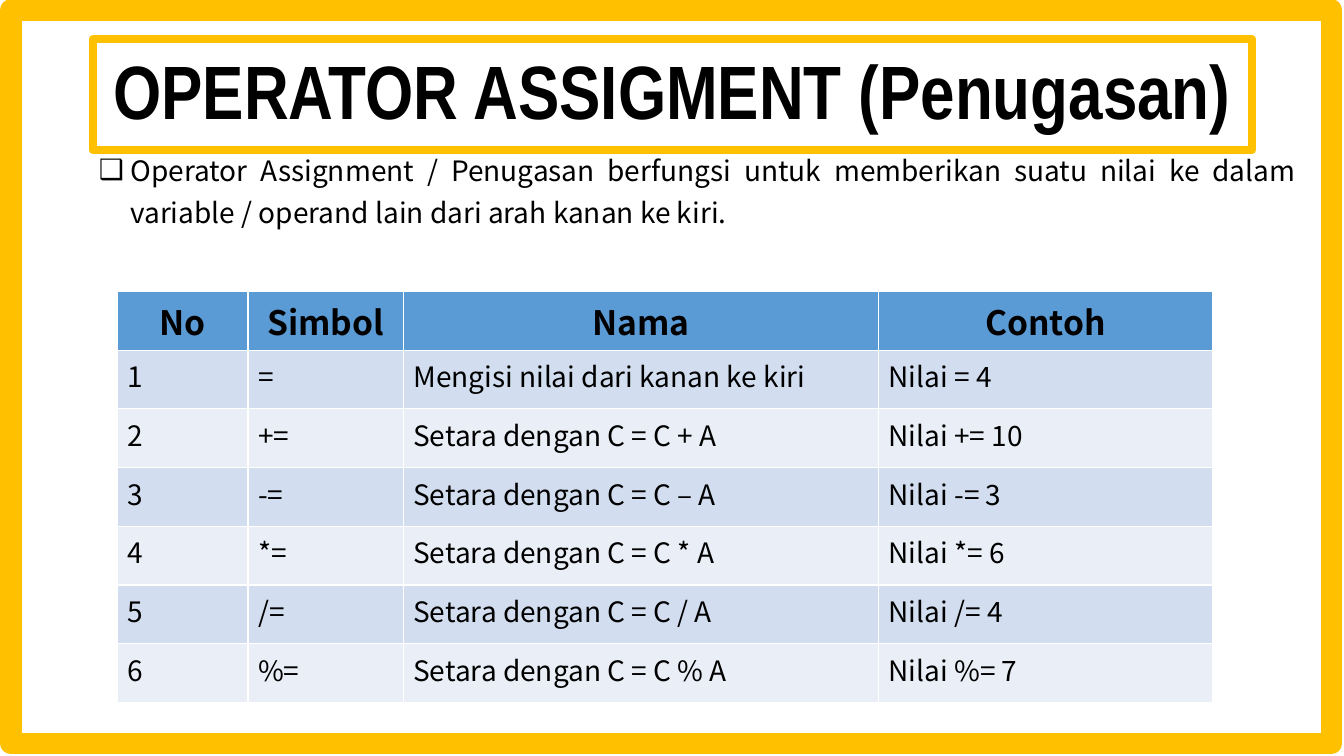
from lxml import etree
from pptx import Presentation
from pptx.dml.color import RGBColor
from pptx.enum.shapes import MSO_SHAPE
from pptx.enum.text import MSO_ANCHOR, MSO_AUTO_SIZE, PP_ALIGN
from pptx.oxml.ns import qn
from pptx.util import Cm, Pt

RECT = MSO_SHAPE.RECTANGLE
MIDDLE = MSO_ANCHOR.MIDDLE
NO_FIT = MSO_AUTO_SIZE.NONE
LEFT, CENTER, JUSTIFY = PP_ALIGN.LEFT, PP_ALIGN.CENTER, PP_ALIGN.JUSTIFY

TITLE_FONT = "Arial Narrow"
BODY_FONT = "Noto Sans CJK JP"
BLACK, GOLD, BLUE = "000000", "FFC000", "5B9BD5"
BANDS = ["D2DEEF", "EAEFF7"]

COLUMN_WIDTHS = [3.3, 3.91, 11.98, 8.42]
ROW_HEIGHT = 1.48
HEADINGS = ["No", "Simbol", "Nama", "Contoh"]
OPERATORS = [
    ("=", "Mengisi nilai dari kanan ke kiri", 4),
    ("+=", "Setara dengan C = C + A", 10),
    ("-=", "Setara dengan C = C – A", 3),
    ("*=", "Setara dengan C = C * A", 6),
    ("/=", "Setara dengan C = C / A", 4),
    ("%=", "Setara dengan C = C % A", 7),
]


def rgb(value):
    return RGBColor.from_string(value)


def place(sp, left, top, width, height):
    sp.left, sp.top = Cm(left), Cm(top)
    sp.width, sp.height = Cm(width), Cm(height)


def add_run(p, text, size, font=BODY_FONT, bold=False):
    r = p.add_run()
    r.text = text
    r.font.name = font
    r.font.size = Pt(size)
    r.font.bold = bold
    r.font.color.rgb = rgb(BLACK)


def set_outline(sp, color, width):
    sp.line.color.rgb = rgb(color)
    sp.line.width = Pt(width)


def set_bullet(p, char, margin, indent):
    pPr = p._p.get_or_add_pPr()
    pPr.set("marL", str(Cm(margin)))
    pPr.set("indent", str(Cm(indent)))
    etree.SubElement(pPr, qn("a:buChar")).set("char", char)


def add_frame(slide):
    sp = slide.shapes.add_shape(RECT, Cm(0.28), Cm(0.25), Cm(33.27), Cm(18.49))
    sp.shadow.inherit = False
    sp.fill.background()
    set_outline(sp, GOLD, 15.25)


def fill_title(sp, text):
    place(sp, 2.34, 0.99, 29.21, 2.79)
    set_outline(sp, GOLD, 6)
    etree.SubElement(sp.line._ln, qn("a:round"))
    tf = sp.text_frame
    tf.auto_size = NO_FIT
    tf.vertical_anchor = MIDDLE
    p = tf.paragraphs[0]
    p.alignment = CENTER
    p.line_spacing = 0.9
    add_run(p, text, 54, TITLE_FONT, True)


def fill_body(sp, text):
    place(sp, 0.97, 3.53, 31.95, 2.82)
    tf = sp.text_frame
    tf.auto_size = NO_FIT
    p = tf.paragraphs[0]
    p.level = 1
    p.alignment = JUSTIFY
    p.line_spacing = 1.25
    p.space_before = Pt(0)
    set_bullet(p, "❑", 2.06, -0.79)
    add_run(p, text, 20)


def fill_cell(cell, text, fill, size, align, bold):
    cell.fill.solid()
    cell.fill.fore_color.rgb = rgb(fill)
    p = cell.text_frame.paragraphs[0]
    p.alignment = align
    add_run(p, text, size, bold=bold)


def add_operator_table(slide):
    rows = [HEADINGS]
    for number, (symbol, name, value) in enumerate(OPERATORS, 1):
        rows.append([str(number), symbol, name, f"Nilai {symbol} {value}"])
    table = slide.shapes.add_table(
        len(rows), len(HEADINGS), Cm(2.95), Cm(7.34),
        Cm(sum(COLUMN_WIDTHS)), Cm(ROW_HEIGHT * len(rows))).table
    for column, width in zip(table.columns, COLUMN_WIDTHS):
        column.width = Cm(width)
    for i, row in enumerate(rows):
        table.rows[i].height = Cm(ROW_HEIGHT)
        if i == 0:
            style = (BLUE, 24, CENTER, True)
        else:
            style = (BANDS[(i - 1) % 2], 20, LEFT, False)
        for j, text in enumerate(row):
            fill_cell(table.cell(i, j), text, *style)


def main():
    prs = Presentation()
    prs.slide_width, prs.slide_height = Cm(33.87), Cm(19.05)
    slide = prs.slides.add_slide(prs.slide_layouts[1])
    fill_title(slide.shapes.title, "OPERATOR ASSIGMENT (Penugasan)")
    fill_body(slide.placeholders[1],
              "Operator Assignment / Penugasan berfungsi untuk memberikan "
              "suatu nilai ke dalam variable / operand lain dari arah kanan "
              "ke kiri.")
    add_operator_table(slide)
    add_frame(slide)
    prs.save("out.pptx")


main()
